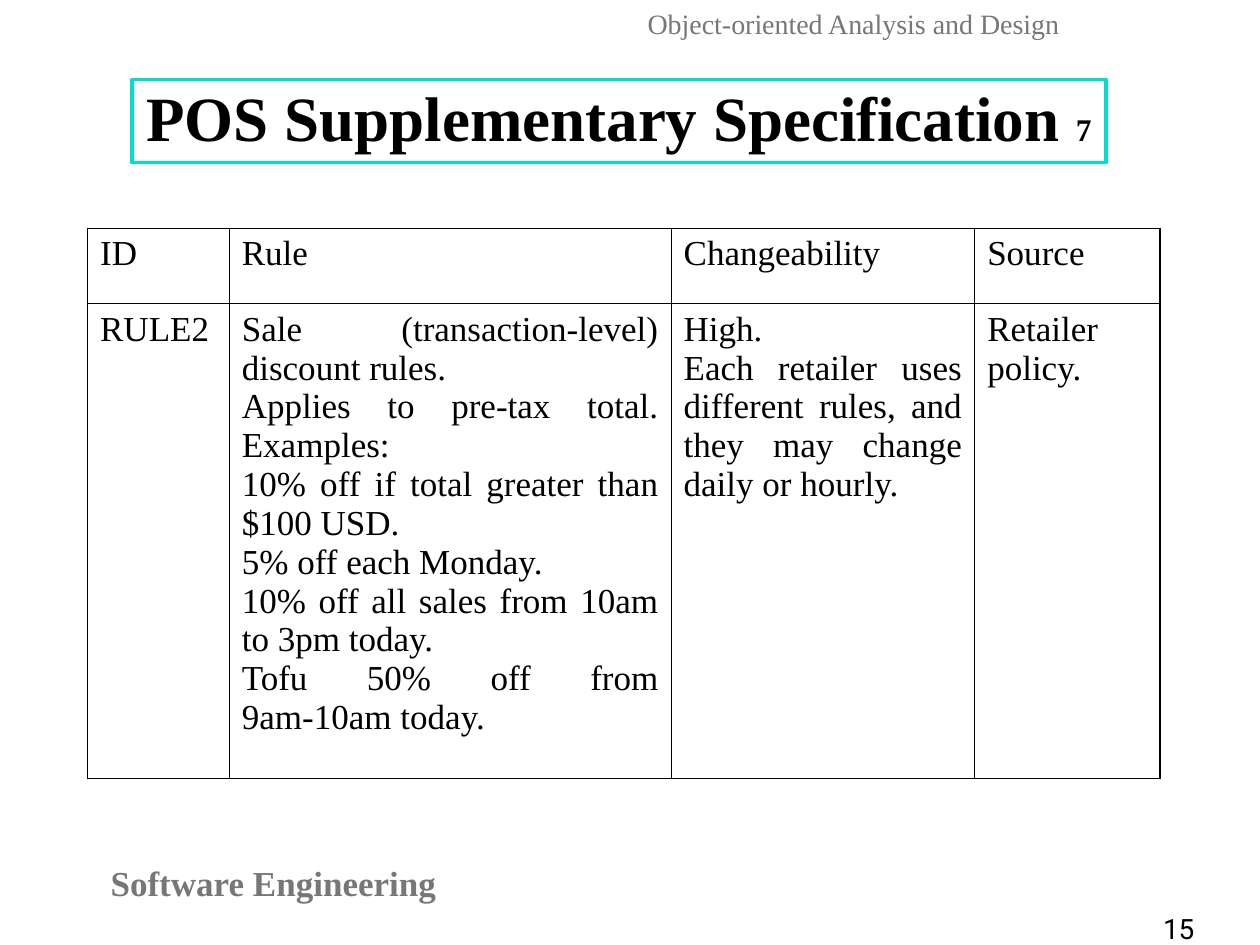
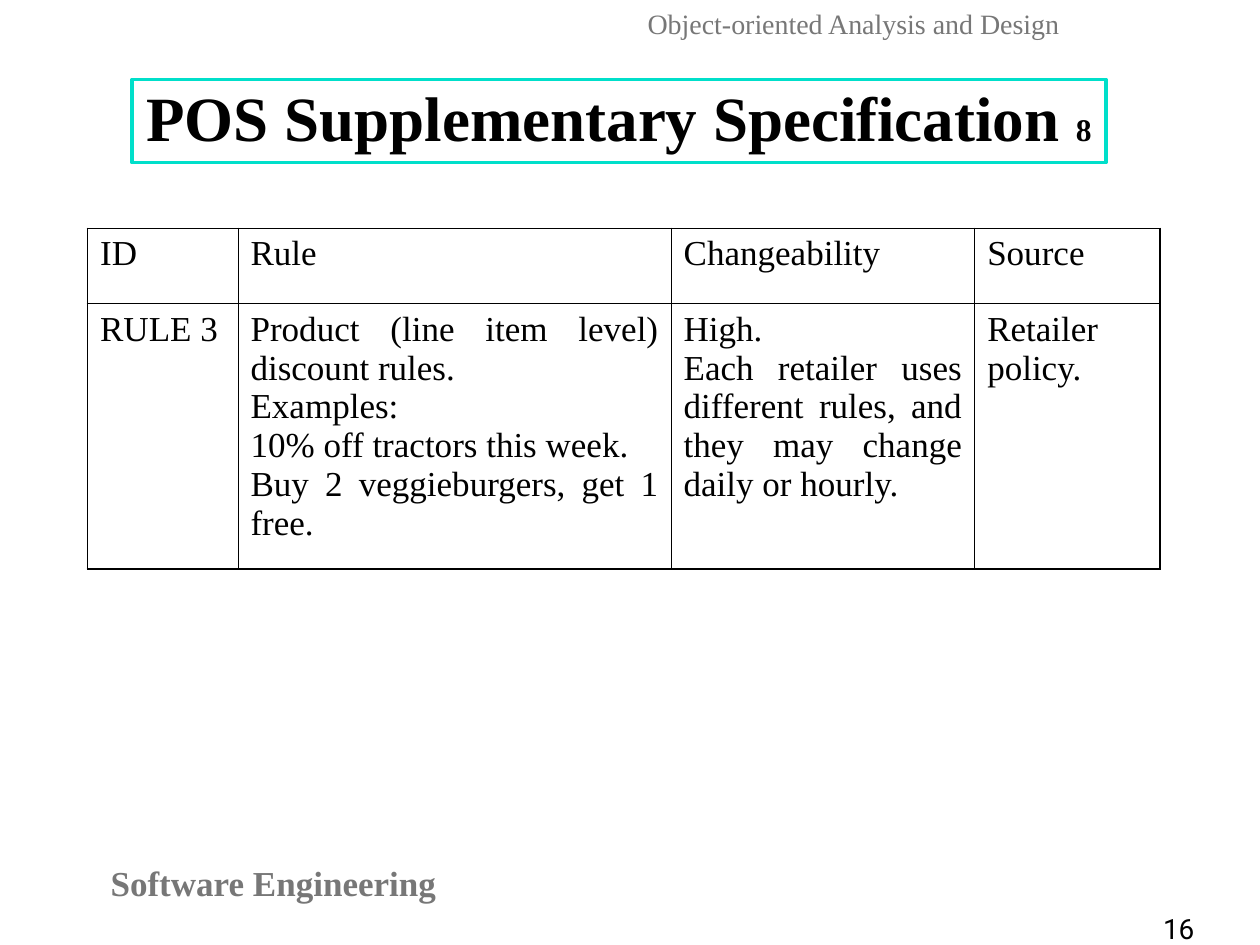
from dataclasses import dataclass

from lxml import etree
from pptx import Presentation
from pptx.dml.color import RGBColor
from pptx.enum.shapes import MSO_SHAPE
from pptx.enum.text import MSO_ANCHOR, PP_ALIGN
from pptx.oxml.ns import qn
from pptx.util import Pt

LEFT, MID, JUST = PP_ALIGN.LEFT, PP_ALIGN.CENTER, PP_ALIGN.JUSTIFY
CENTRE = MSO_ANCHOR.MIDDLE
RECT = MSO_SHAPE.RECTANGLE


@dataclass(frozen=True)
class Theme:
    ink: str = "000000"
    grey: str = "777777"
    paper: str = "FFFFFF"
    frame: str = "00DFCA"
    serif: str = "Times New Roman"
    sans: str = "Roboto"
    title: int = 36
    count: int = 18
    body: int = 20
    small: int = 16
    thin: float = 0.45
    thick: float = 1.08


class Deck:
    def __init__(self, theme):
        self.theme = theme
        self.prs = Presentation()
        self.prs.slide_width, self.prs.slide_height = Pt(720), Pt(540)
        self.slide = None

    def page(self, num):
        """Start a slide with its header, footer and page number."""
        t = self.theme
        self.slide = self.prs.slides.add_slide(self.prs.slide_layouts[6])
        self.text("Software Engineering", (41, 489, 230.5, 31),
                  t.body, t.grey, align=MID, bold=True)
        self.text(str(num), (657.5, 517.5, 62, 22), t.small, t.ink, t.sans)
        self.text("Object-oriented Analysis and Design", (363, 0, 260, 26),
                  t.small, t.grey)

    def style(self, para, size, color, name=None, align=LEFT, bold=False):
        para.alignment = align
        font = para.font
        font.name, font.size, font.bold = name or self.theme.serif, Pt(size), bold
        font.color.rgb = RGBColor.from_string(color)

    def text(self, words, box, size, color, name=None, align=LEFT, bold=False):
        frame = self.slide.shapes.add_textbox(*map(Pt, box)).text_frame
        frame.word_wrap = True
        frame.text = words
        self.style(frame.paragraphs[0], size, color, name, align, bold)

    def title(self, words, count):
        t = self.theme
        shape = self.slide.shapes.add_shape(
            RECT, Pt(75.5), Pt(45.5), Pt(556.5), Pt(47.5))
        shape.shadow.inherit = False
        shape.fill.solid()
        shape.fill.fore_color.rgb = RGBColor.from_string(t.paper)
        shape.line.color.rgb = RGBColor.from_string(t.frame)
        shape.line.width = Pt(2)
        frame = shape.text_frame
        frame.word_wrap, frame.vertical_anchor = False, CENTRE
        para = frame.paragraphs[0]
        para.line_spacing = 0.9
        self.style(para, t.title, t.ink, align=MID, bold=True)
        para.add_run().text = words + " "
        run = para.add_run()
        run.text, run.font.size = str(count), Pt(t.count)

    def edge(self, cell, side, width):
        line = etree.SubElement(cell._tc.get_or_add_tcPr(), qn(f"a:ln{side}"),
                                w=str(Pt(width)))
        fill = etree.SubElement(line, qn("a:solidFill"))
        etree.SubElement(fill, qn("a:srgbClr"), val=self.theme.ink)

    def table(self, rows, widths, heights):
        """Draw a grid of text with thick outer and thin inner lines."""
        t = self.theme
        last, end = len(rows) - 1, len(widths) - 1
        grid = self.slide.shapes.add_table(
            len(rows), len(widths), Pt(50), Pt(130.5),
            Pt(sum(widths)), Pt(sum(heights))).table
        grid.first_row = grid.horz_banding = False
        for col, width in zip(grid.columns, widths):
            col.width = Pt(width)
        for row, height in zip(grid.rows, heights):
            row.height = Pt(height)
        for r, row in enumerate(rows):
            for c, words in enumerate(row):
                cell = grid.cell(r, c)
                cell.text = words
                for para in cell.text_frame.paragraphs:
                    self.style(para, t.body, t.ink, align=JUST)
                outer = {"L": c == 0, "R": c == end, "T": r == 0, "B": r == last}
                for side, out in outer.items():
                    self.edge(cell, side, t.thick if out else t.thin)
                cell.fill.background()


HEAD = ["ID", "Rule", "Changeability", "Source"]
CHANGE = ("High.\nEach retailer uses different rules, "
          "and they may change daily or hourly.")
SOURCE = "Retailer policy."
SPAN = 333.5  # ID and Rule columns together

# page, title count, rule ID, ID width, rule row height, rule text
RULES = [
    (15, 7, "RULE2", 81, 271, [
        "Sale (transaction-level) discount rules.",
        "Applies to pre-tax total. Examples:",
        "10% off if total greater than $100 USD.",
        "5% off each Monday.",
        "10% off all sales from 10am to 3pm today.",
        "Tofu 50% off from 9am-10am today."]),
    (16, 8, "RULE 3", 86, 151.5, [
        "Product (line item level) discount rules.",
        "Examples:",
        "10% off tractors this week.",
        "Buy 2 veggieburgers, get 1 free."]),
]


def main():
    deck = Deck(Theme())
    for num, count, key, width, height, rule in RULES:
        deck.page(num)
        deck.title("POS Supplementary Specification", count)
        deck.table([HEAD, [key, "\n".join(rule), CHANGE, SOURCE]],
                   [width, SPAN - width, 173.5, 106], [43, height])
    deck.prs.save("out.pptx")


if __name__ == "__main__":
    main()
